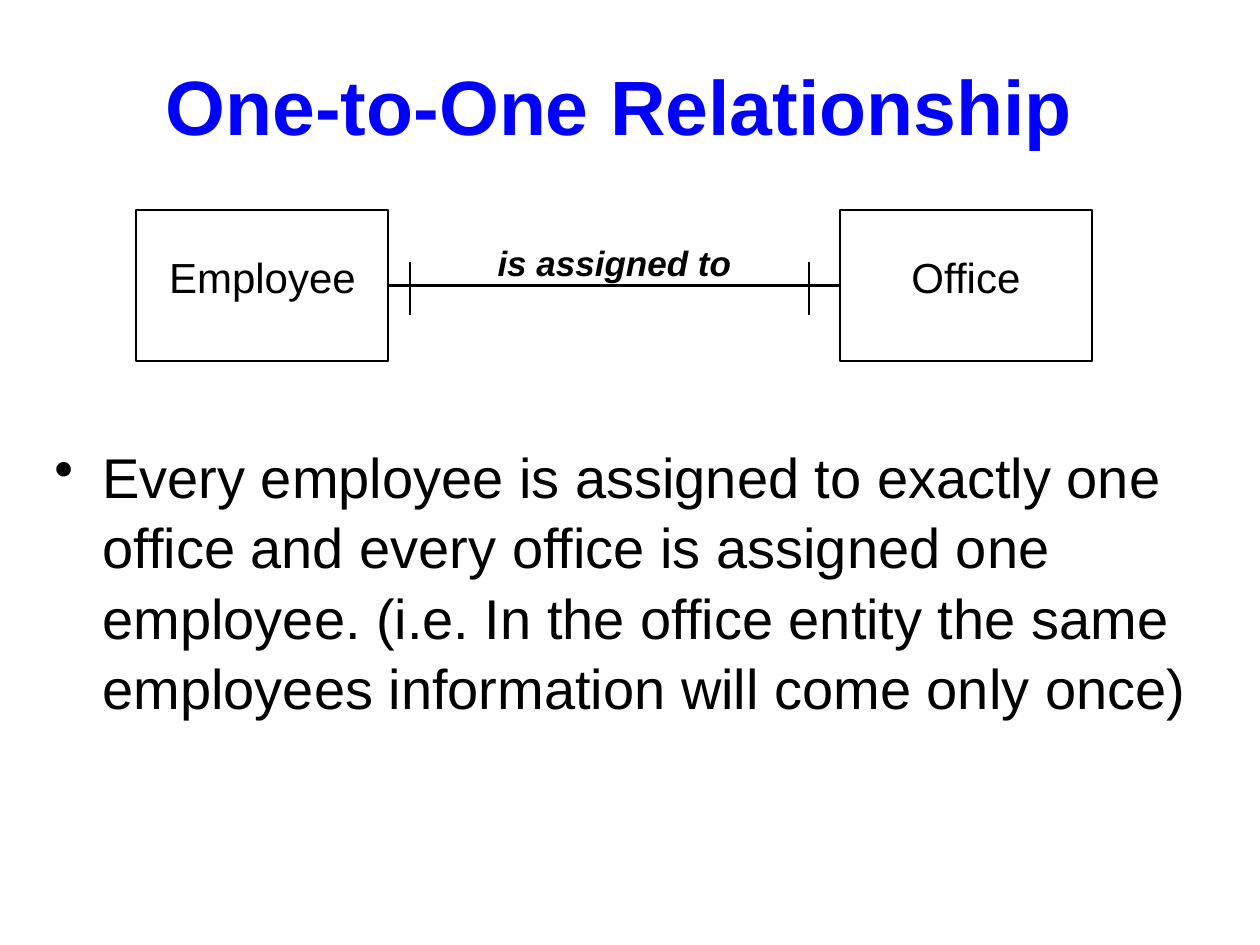
import pptx
import pptx.util
import pptx.dml.color
import pptx.enum.shapes
import pptx.enum.text
import pptx.oxml
from dataclasses import dataclass

SCALE = 914400 / 126


@dataclass
class Theme:
    font: str = "Arial"
    ink: str = "000000"
    blue: str = "0000FF"
    paper: str = "FFFFFF"
    head: int = 44
    body: int = 32
    name: int = 24
    verb: int = 20
    line: float = 1.5


theme = Theme()
rgb = pptx.dml.color.RGBColor.from_string
align = pptx.enum.text.PP_ALIGN


def px(*sizes):
    return [round(size * SCALE) for size in sizes]


def write(shape, text, size, color=theme.ink, bold=False, italic=False, side=align.CENTER):
    frame = shape.text_frame
    frame.word_wrap = True
    frame.text = text
    para = frame.paragraphs[0]
    para.alignment = side
    para.font.name = theme.font
    para.font.size = pptx.util.Pt(size)
    para.font.bold = bold
    para.font.italic = italic
    para.font.color.rgb = rgb(color)
    return frame


deck = pptx.Presentation()
deck.slide_width, deck.slide_height = px(1260, 945)
slide = deck.slides.add_slide(deck.slide_layouts[5])
shapes = slide.shapes

title = shapes.title
title.left, title.top, title.width, title.height = px(84, 42, 1071, 126)
frame = write(title, "One-to-One Relationship", theme.head, theme.blue, bold=True)
frame.vertical_anchor = pptx.enum.text.MSO_ANCHOR.MIDDLE

boxes = []
for left in (136, 840):
    box = shapes.add_shape(pptx.enum.shapes.MSO_SHAPE.RECTANGLE, *px(left, 210, 252, 151))
    box.shadow.inherit = False
    box.fill.solid()
    box.fill.fore_color.rgb = rgb(theme.paper)
    box.line.color.rgb = rgb(theme.ink)
    box.line.width = pptx.util.Pt(theme.line)
    boxes.append(box)

labels = [
    ("Employee", 147, 242, 231, 63, theme.name, False),
    ("Office", 840, 242, 252, 63, theme.name, False),
    ("is assigned to", 462, 231, 305, 54, theme.verb, True),
]
for text, left, top, width, height, size, strong in labels:
    label = shapes.add_textbox(*px(left, top, width, height))
    frame = write(label, text, size, bold=strong, italic=strong)
    frame.margin_top = px(10)[0]

straight = pptx.enum.shapes.MSO_CONNECTOR.STRAIGHT
ends = [(388, 284, 840, 284), (410, 262, 410, 315), (809, 262, 809, 315)]
lines = [shapes.add_connector(straight, *px(*end)) for end in ends]
for line in lines:
    line.line.color.rgb = rgb(theme.ink)
    line.line.width = pptx.util.Pt(theme.line)
    props = line._element.spPr
    props.append(pptx.oxml.parse_xml(
        '<a:effectLst xmlns:a="http://schemas.openxmlformats.org/drawingml/2006/main"/>'))
lines[0].begin_connect(boxes[0], 3)
lines[0].end_connect(boxes[1], 1)

note = shapes.add_textbox(*px(42, 431, 1187, 336))
frame = write(
    note,
    "Every employee is assigned to exactly one office and every office is assigned one "
    "employee. (i.e. In the office entity the same employees information will come only once)",
    theme.body, side=align.LEFT)
frame.margin_top = px(8)[0]
para = frame.paragraphs[0]
para.line_spacing = 1.05
props = para._p.get_or_add_pPr()
indent = px(48)[0]
props.set("marL", str(indent))
props.set("indent", str(-indent))
bullet = pptx.oxml.parse_xml(
    '<a:buChar xmlns:a="http://schemas.openxmlformats.org/drawingml/2006/main" char="•"/>')
props.find(pptx.oxml.ns.qn("a:defRPr")).addprevious(bullet)

deck.save("out.pptx")
